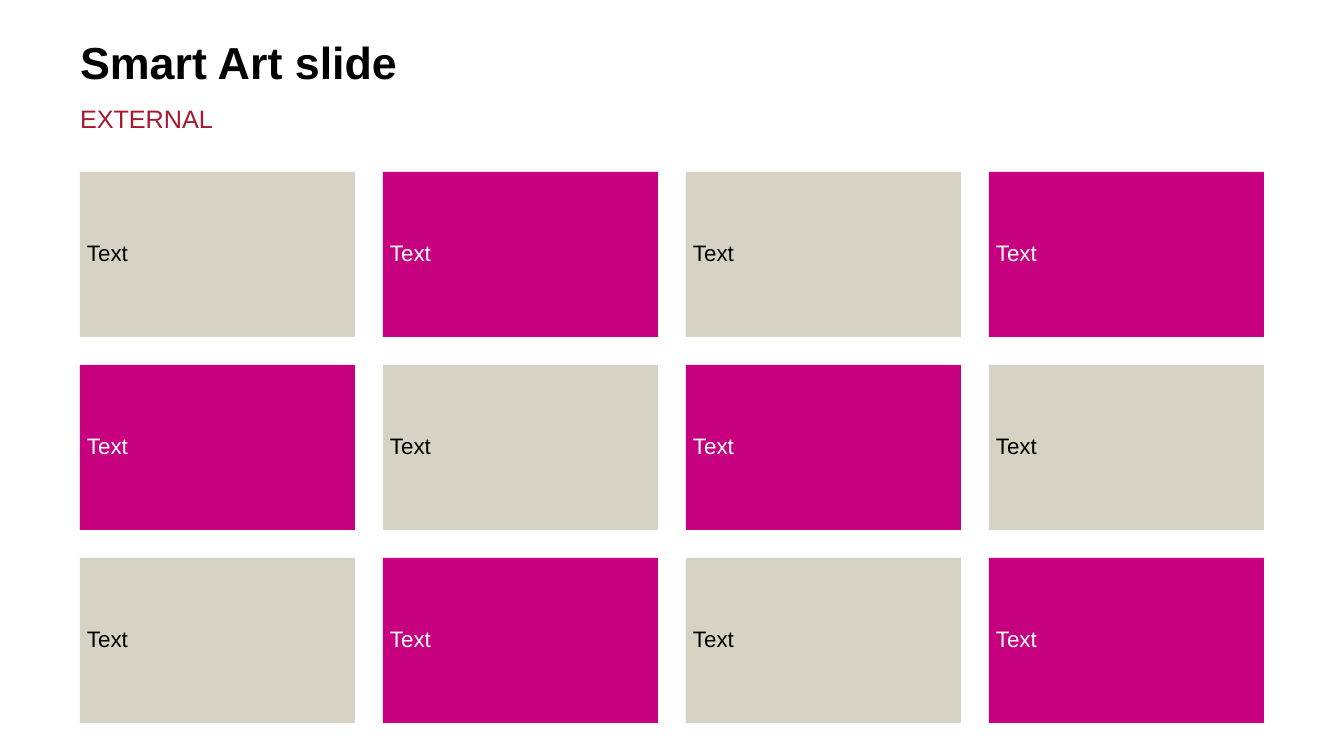
from dataclasses import dataclass

from lxml import etree
from pptx import Presentation
from pptx import util as u
from pptx.dml.color import RGBColor
from pptx.enum import shapes, text
from pptx.oxml import ns

EMU_PER_PX = 914400 / 100.8


def px(length):
    return u.Emu(round(length * EMU_PER_PX))


@dataclass(frozen=True)
class Theme:
    font: str = "Arial"
    black: str = "000000"
    white: str = "FFFFFF"
    red: str = "A6192E"
    sand: str = "D6D2C4"
    magenta: str = "C6007E"
    title_size: int = 32
    subtitle_size: int = 18
    tile_size: int = 16


class SlideBuilder:
    def __init__(self, presentation, theme):
        self.theme = theme
        self.slide = presentation.slides.add_slide(presentation.slide_layouts[1])

    def set_words(self, shape, words, size, color, bold=False):
        paragraph = shape.text_frame.paragraphs[0]
        paragraph.text = words
        paragraph.alignment = text.PP_ALIGN.LEFT
        paragraph.space_before = u.Pt(0)
        font = paragraph.font
        font.name, font.size, font.bold = self.theme.font, u.Pt(size), bold
        font.color.rgb = RGBColor.from_string(color)
        return paragraph

    def heading(self, index, words, box, top_inset, size, color, bold=False):
        """Fill the placeholder with this index, without bullet or indent."""
        shape = self.slide.placeholders[index]
        shape.left, shape.top, shape.width, shape.height = map(px, box)
        frame = shape.text_frame
        frame.auto_size = text.MSO_AUTO_SIZE.NONE
        frame.word_wrap = True
        frame.vertical_anchor = text.MSO_ANCHOR.TOP
        frame.margin_left = frame.margin_right = frame.margin_bottom = 0
        frame.margin_top = px(top_inset)
        properties = frame.paragraphs[0]._p.get_or_add_pPr()
        properties.set("marL", "0")
        properties.set("indent", "0")
        etree.SubElement(properties, ns.qn("a:buNone"))
        self.set_words(shape, words, size, color, bold)

    def tile(self, words, box, fill, color):
        shape = self.slide.shapes.add_shape(
            shapes.MSO_SHAPE.RECTANGLE, *map(px, box))
        shape.shadow.inherit = False
        shape.fill.solid()
        shape.fill.fore_color.rgb = RGBColor.from_string(fill)
        shape.line.fill.background()
        frame = shape.text_frame
        frame.word_wrap = True
        frame.vertical_anchor = text.MSO_ANCHOR.MIDDLE
        frame.margin_left = frame.margin_right = px(7)
        frame.margin_top = frame.margin_bottom = px(7)
        paragraph = self.set_words(shape, words, self.theme.tile_size, color)
        paragraph.line_spacing = 0.9

    def checkerboard(self, words, rows, columns, origin, size, gap):
        left, top = origin
        width, height = size
        styles = ((self.theme.sand, self.theme.black),
                  (self.theme.magenta, self.theme.white))
        for row in range(rows):
            for column in range(columns):
                box = (left + column * (width + gap),
                       top + row * (height + gap), width, height)
                self.tile(words, box, *styles[(row + column) % 2])


def main():
    presentation = Presentation()
    presentation.slide_width, presentation.slide_height = px(1344), px(756)
    theme = Theme()
    builder = SlideBuilder(presentation, theme)
    builder.heading(0, "Smart Art slide", (80, 30, 932, 72), 5,
                    theme.title_size, theme.black, bold=True)
    builder.heading(1, "EXTERNAL", (80, 100, 941, 52), 3,
                    theme.subtitle_size, theme.red)
    builder.checkerboard("Text", rows=3, columns=4, origin=(80, 172),
                         size=(275, 165), gap=28)
    presentation.save("out.pptx")


if __name__ == "__main__":
    main()
